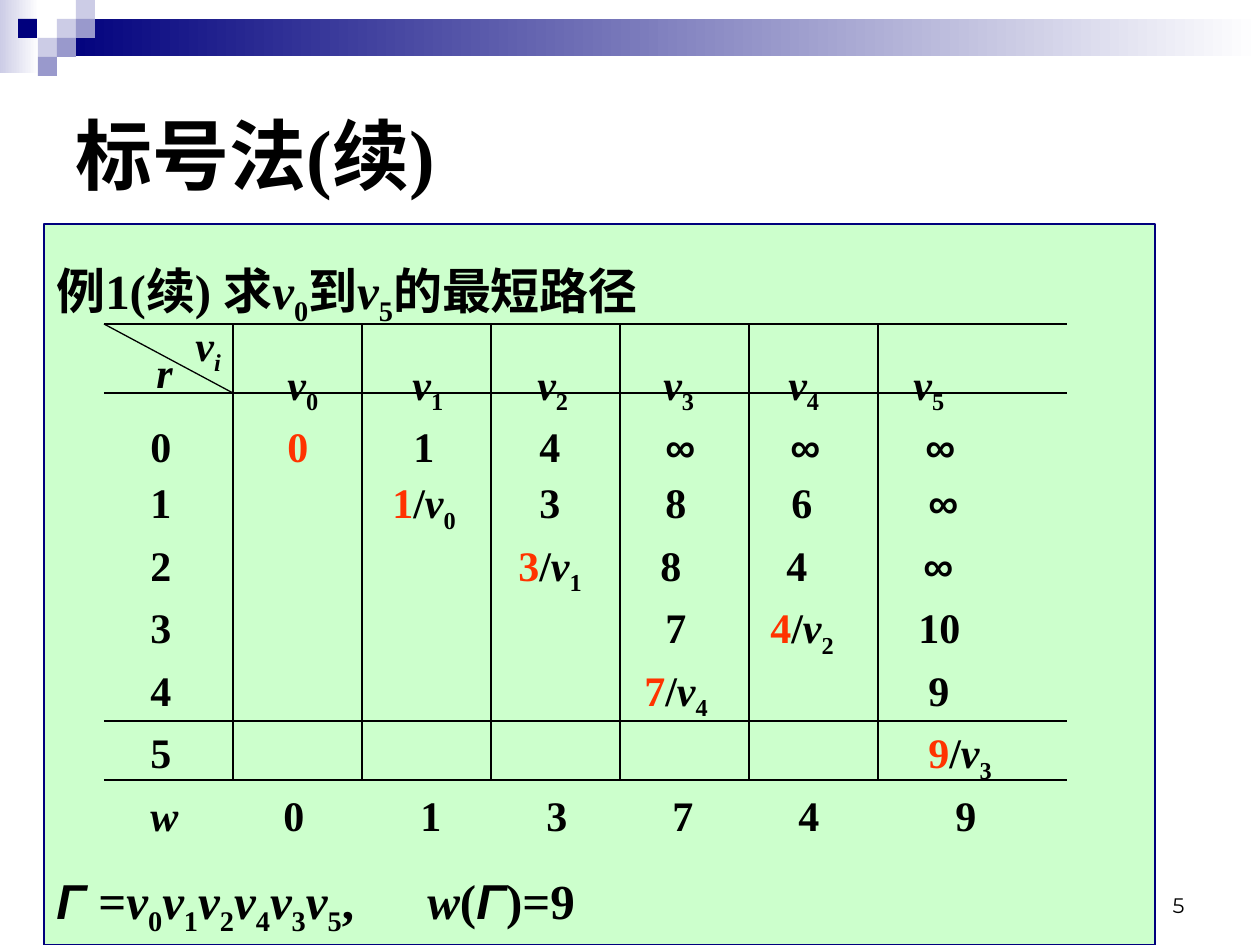
from itertools import groupby
from lxml.etree import SubElement
from pptx import Presentation
from pptx.dml.color import RGBColor
from pptx.enum.shapes import MSO_CONNECTOR, MSO_SHAPE
from pptx.enum.text import MSO_ANCHOR, PP_ALIGN
from pptx.oxml.ns import qn
from pptx.util import Pt


def px(*lengths):
    return [round(length * 914400 / 126) for length in lengths]


def add_styled_text(paragraph, text, size, font_name="Times New Roman", bold=True):
    """A "_" lowers the next character, a "!" makes it red."""
    styled, mark = [], ""
    for character in text:
        if character in "_!":
            mark = character
            continue
        face = "Arial" if character in "Γ∞" else font_name
        styled.append((character, (mark, face, character in "vwriΓ")))
        mark = ""
    for (mark, face, italic), group in groupby(styled, key=lambda item: item[1]):
        run = paragraph.add_run()
        run.text = "".join(character for character, style in group)
        run.font.size = Pt(size)
        run.font.name = face
        run.font.bold = bold
        run.font.italic = italic
        run.font.color.rgb = RGBColor.from_string("FF3300" if mark == "!" else "000000")
        if mark == "_":
            run.font._element.set("baseline", "-25000")


presentation = Presentation()
presentation.slide_width, presentation.slide_height = px(1260, 945)
slide = presentation.slides.add_slide(presentation.slide_layouts[5])

decorations = [
    (0, 0, 39, 73, "CCCCE6", True),
    (57, 19, 1203, 37, "00007D", True),
    (57, 19, 19, 19, "CCCCE6", False),
    (76, 0, 19, 19, "CCCCE6", False),
    (76, 19, 19, 19, "9999CC", False),
    (38, 38, 19, 19, "CCCCE6", False),
    (18, 19, 19, 19, "00007D", False),
    (57, 38, 19, 19, "9999CC", False),
    (38, 57, 19, 19, "9999CC", False),
]
for left, top, width, height, color, fades in decorations:
    shape = slide.shapes.add_shape(MSO_SHAPE.RECTANGLE, *px(left, top, width, height))
    shape.shadow.inherit = False
    shape.line.fill.background()
    if fades:
        shape.fill.gradient()
        shape.fill.gradient_angle = 0
        for stop, stop_color in zip(shape.fill.gradient_stops, (color, "FFFFFF")):
            stop.color.rgb = RGBColor.from_string(stop_color)
    else:
        shape.fill.solid()
        shape.fill.fore_color.rgb = RGBColor.from_string(color)

title = slide.shapes.title
title.left, title.top, title.width, title.height = px(63, 63, 1134, 181)
title.text_frame.vertical_anchor = MSO_ANCHOR.MIDDLE
title.text_frame.paragraphs[0].alignment = PP_ALIGN.LEFT
add_styled_text(title.text_frame.paragraphs[0], "标号法(续)", 44)

panel = slide.shapes.add_shape(MSO_SHAPE.RECTANGLE, *px(44, 224, 1111, 721))
panel.shadow.inherit = False
panel.fill.solid()
panel.fill.fore_color.rgb = RGBColor.from_string("CCFFCC")
panel.line.color.rgb = RGBColor.from_string("00007D")
panel.line.width = Pt(0.75)
panel.text_frame.word_wrap = True
panel.text_frame.vertical_anchor = MSO_ANCHOR.TOP

panel_lines = [
    ("例1(续) 求v_0到v_5的最短路径", [], 28, 3.5, 1.45),
    ("\tv_0\tv_1\tv_2\tv_3\tv_4\tv_5", [231, 356, 481, 607, 732, 857], 24, 3, 1.45),
    ("\t0\t!0\t1\t4\t∞\t∞\t∞", [94, 231, 357, 483, 609, 734, 869], 24, 3, 1),
    ("\t1\t!1/v_0\t3\t8\t6\t∞", [94, 336, 483, 609, 735, 872], 24, 3, 1),
    ("\t2\t!3/v_1\t8\t4\t∞", [94, 462, 604, 730, 867], 24, 3, 1),
    ("\t3\t7\t!4/v_2\t10", [94, 609, 714, 862], 24, 3, 1),
    ("\t4\t!7/v_4\t9", [94, 588, 872], 24, 3, 1),
    ("\t5\t!9/v_3", [94, 872], 24, 3, 1),
    ("\tw\t0\t1\t3\t7\t4\t9", [94, 227, 364, 490, 616, 742, 899], 24, 3, 1),
    ("Γ =v_0v_1v_2v_4v_3v_5,\tw(Γ)=9", [371], 28, 17.5, 1),
]
for index, (text, tab_stops, size, space_before, line_spacing) in enumerate(panel_lines):
    paragraph = panel.text_frame.paragraphs[0] if index == 0 else panel.text_frame.add_paragraph()
    paragraph.alignment = PP_ALIGN.LEFT
    paragraph.line_spacing = line_spacing
    paragraph.space_before = Pt(space_before)
    if tab_stops:
        tab_list = SubElement(paragraph._p.get_or_add_pPr(), qn("a:tabLst"))
        for position in px(*tab_stops):
            SubElement(tab_list, qn("a:tab"), pos=str(position), algn="l")
    add_styled_text(paragraph, text, size)

grid_left, grid_right, grid_top, grid_bottom = 104, 1067, 324, 780
header_bottom, column_width = 393, 129
grid_lines = [(grid_left, y, grid_right, y) for y in (grid_top, header_bottom, 721, grid_bottom)]
for column in range(1, 7):
    x = grid_left + column * column_width
    grid_lines.append((x, grid_top, x, grid_bottom))
grid_lines.append((grid_left, grid_top, grid_left + column_width, header_bottom))
for ends in grid_lines:
    connector = slide.shapes.add_connector(MSO_CONNECTOR.STRAIGHT, *px(*ends))
    connector.line.color.rgb = RGBColor.from_string("000000")
    connector.line.width = Pt(0.75)
    SubElement(connector._element.spPr, qn("a:effectLst"))

labels = [
    ("v_i", 183, 313, 59, 71, 24, "Times New Roman", True, PP_ALIGN.LEFT, MSO_ANCHOR.TOP),
    ("r", 144, 340, 79, 63, 24, "Times New Roman", True, PP_ALIGN.LEFT, MSO_ANCHOR.TOP),
    ("5", 903, 861, 294, 63, 12, "Montserrat", False, PP_ALIGN.RIGHT, MSO_ANCHOR.BOTTOM),
]
for text, left, top, width, height, size, font_name, bold, alignment, anchor in labels:
    text_box = slide.shapes.add_textbox(*px(left, top, width, height))
    text_box.text_frame.word_wrap = True
    text_box.text_frame.vertical_anchor = anchor
    paragraph = text_box.text_frame.paragraphs[0]
    paragraph.alignment = alignment
    add_styled_text(paragraph, text, size, font_name, bold)

presentation.save("out.pptx")
